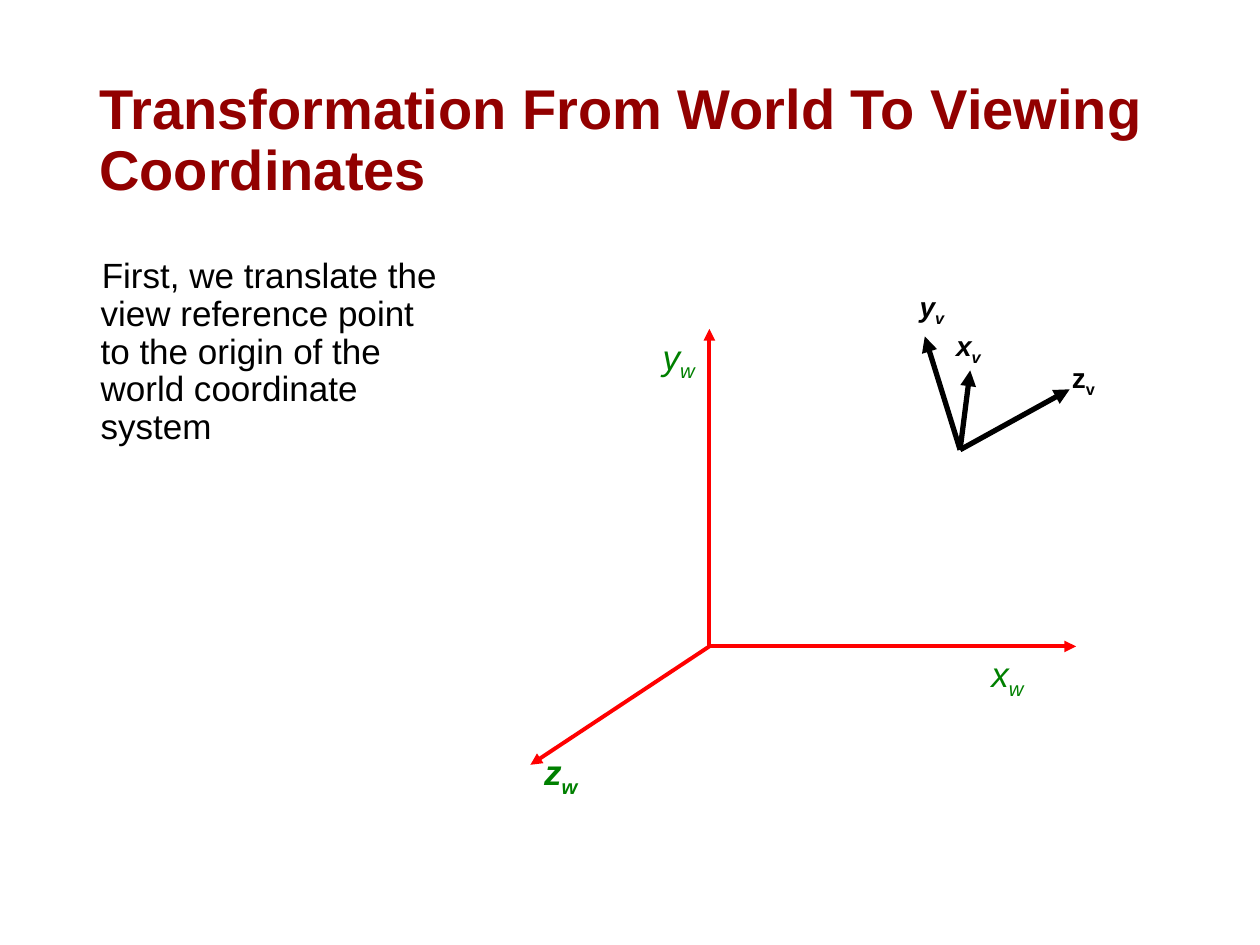
from typing import NamedTuple

from lxml import etree
from pptx import Presentation
from pptx.dml.color import RGBColor
from pptx.enum.shapes import MSO_CONNECTOR
from pptx.enum.text import MSO_ANCHOR
from pptx.oxml.ns import qn
from pptx.util import Inches, Pt

STRAIGHT = MSO_CONNECTOR.STRAIGHT
TOP, MIDDLE = MSO_ANCHOR.TOP, MSO_ANCHOR.MIDDLE

BLACK, RED, GREEN, MAROON = "000000", "FF0000", "008000", "920000"
TITLE = {"size": Pt(32), "bold": True}
BODY = {"size": Pt(20)}
WORLD = {"size": Pt(20), "italic": True}
WORLD_BOLD = {**WORLD, "bold": True}
VIEW = {"size": Pt(16), "bold": True}
VIEW_ITALIC = {**VIEW, "italic": True}


class Box(NamedTuple):
    left: float
    top: float
    width: float
    height: float


class Axis(NamedTuple):
    start: tuple[float, float]
    end: tuple[float, float]
    color: str
    weight: float


class Label(NamedTuple):
    letter: str
    subscript: str
    box: Box
    color: str
    font: dict


WORLD_ORIGIN = (5.63, 5.13)
VIEW_ORIGIN = (7.62, 3.57)

AXES = [
    *(Axis(WORLD_ORIGIN, end, RED, 2.25)
      for end in [(5.63, 2.61), (4.21, 6.07), (8.54, 5.13)]),
    *(Axis(VIEW_ORIGIN, end, BLACK, 3)
      for end in [(7.34, 2.67), (7.7, 2.94), (8.49, 3.09)]),
]

LABELS = [
    Label("x", "w", Box(7.77, 5.13, 0.47, 0.43), GREEN, WORLD),
    Label("y", "w", Box(5.16, 2.61, 0.55, 0.43), GREEN, WORLD),
    Label("z", "w", Box(4.22, 5.91, 0.55, 0.43), GREEN, WORLD_BOLD),
    Label("x", "v", Box(7.49, 2.56, 0.62, 0.37), BLACK, VIEW_ITALIC),
    Label("y", "v", Box(7.2, 2.25, 0.55, 0.37), BLACK, VIEW_ITALIC),
    Label("z", "v", Box(8.41, 2.81, 0.63, 0.37), BLACK, VIEW),
]


def rgb(value: str) -> RGBColor:
    return RGBColor.from_string(value)


def add_text(s, box: Box, text: str, color: str, font: dict, anchor=TOP):
    """Add a one-paragraph text box and return its text frame."""
    tf = s.shapes.add_textbox(*map(Inches, box)).text_frame
    tf.word_wrap = True
    tf.vertical_anchor = anchor
    p = tf.paragraphs[0]
    add_run(p, text, color, font)
    return tf


def add_run(p, text: str, color: str, font: dict):
    r = p.add_run()
    r.text = text
    r.font.name = "Arial"
    r.font.color.rgb = rgb(color)
    for name, value in font.items():
        setattr(r.font, name, value)
    return r


def add_label(s, label: Label) -> None:
    tf = add_text(s, label.box, label.letter, label.color, label.font)
    tf.margin_right = 0
    r = add_run(tf.paragraphs[0], label.subscript, label.color, label.font)
    r.font._element.set("baseline", "-25000")


def add_axis(s, axis: Axis) -> None:
    ends = map(Inches, (*axis.start, *axis.end))
    sp = s.shapes.add_connector(STRAIGHT, *ends)
    sp.line.color.rgb = rgb(axis.color)
    sp.line.width = Pt(axis.weight)
    etree.SubElement(sp.line._get_or_add_ln(), qn("a:tailEnd"), type="triangle")
    etree.SubElement(sp._element.spPr, qn("a:effectLst"))


def main() -> None:
    prs = Presentation()
    prs.slide_width, prs.slide_height = Inches(10), Inches(7.5)
    s = prs.slides.add_slide(prs.slide_layouts[6])

    title = add_text(s, Box(0.69, 0.4, 8.62, 1.45),
                     "Transformation From World To Viewing Coordinates",
                     MAROON, TITLE, MIDDLE)
    body = add_text(s, Box(0.69, 2, 2.95, 4.76),
                    "First, we translate the view reference point to the "
                    "origin of the world coordinate system", BLACK, BODY)
    for tf in (title, body):
        tf.paragraphs[0].line_spacing = 0.9
    pPr = body.paragraphs[0]._p.get_or_add_pPr()
    for name in ("marL", "indent"):
        pPr.set(name, str(Inches(0.01)))

    for axis in AXES:
        add_axis(s, axis)
    for label in LABELS:
        add_label(s, label)
    prs.save("out.pptx")


if __name__ == "__main__":
    main()
